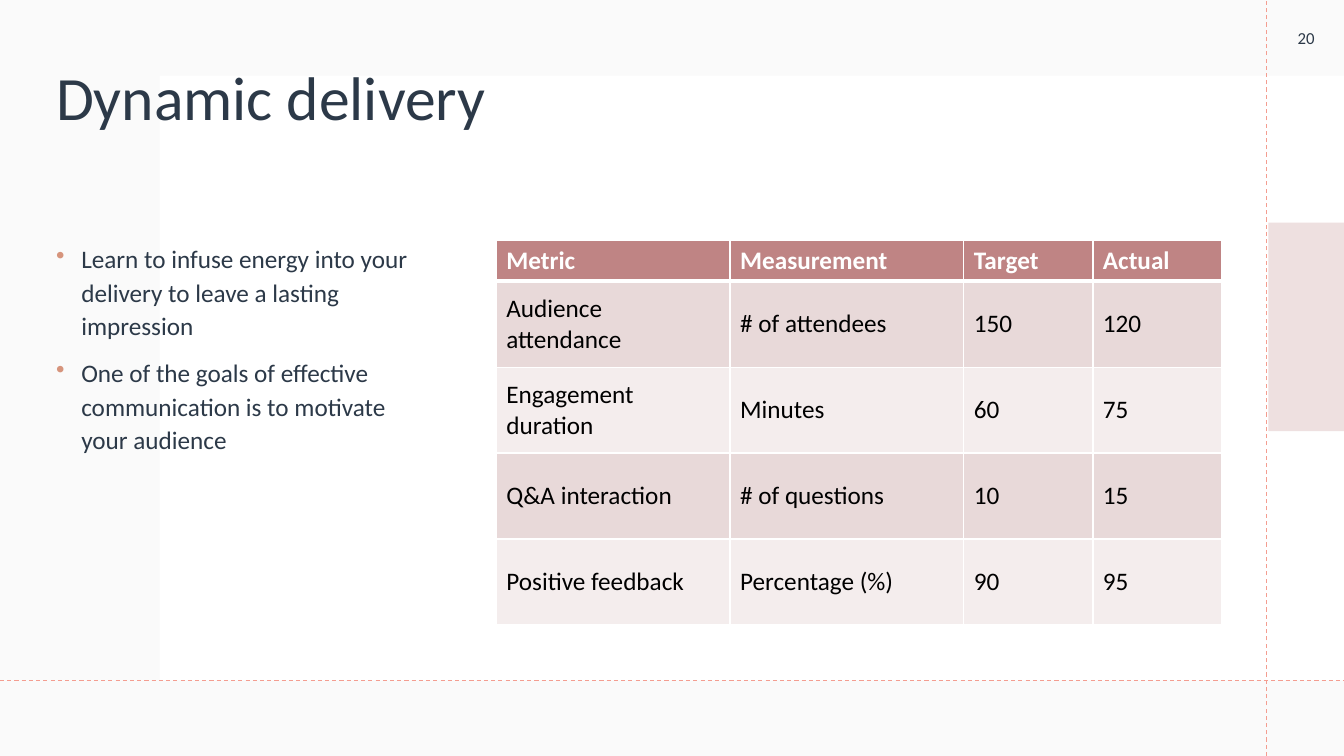
from lxml.etree import SubElement
from pptx import Presentation
from pptx.dml.color import RGBColor
from pptx.enum.dml import MSO_LINE
from pptx.enum.shapes import MSO_CONNECTOR, MSO_SHAPE
from pptx.enum.text import MSO_ANCHOR, PP_ALIGN
from pptx.oxml import parse_xml
from pptx.oxml.ns import nsdecls, qn
from pptx.util import Pt

COLORS = {
    "paper": "FFFFFF", "backdrop": "F4F4F4", "guide": "F49D90",
    "rose": "BF8484", "band_dark": "E8D9D9", "band_light": "F4EDED",
    "ink": "2C3948", "bullet": "D6947C", "black": "000000",
}


def color(name):
    return RGBColor.from_string(COLORS[name])


def write(frame, text, size=18, ink="ink", bold=False, align=PP_ALIGN.LEFT,
          anchor=MSO_ANCHOR.MIDDLE, spacing=None, before=0, bullet=False):
    """Fill a text frame, one paragraph for each line of text."""
    frame.word_wrap = True
    frame.vertical_anchor = anchor
    for index, line in enumerate(text.split("\n")):
        para = frame.paragraphs[0] if index == 0 else frame.add_paragraph()
        para.alignment = align
        para.space_before = Pt(before)
        if spacing:
            para.line_spacing = spacing
        if bullet:
            properties = para._p.get_or_add_pPr()
            properties.set("marL", str(Pt(18)))
            properties.set("indent", str(Pt(-18)))
            tint = SubElement(properties, qn("a:buClr"))
            SubElement(tint, qn("a:srgbClr"), val=COLORS["bullet"])
            SubElement(properties, qn("a:buChar"), char="•")
        span = para.add_run()
        span.text = line
        span.font.name = "Calibri"
        span.font.size = Pt(size)
        span.font.bold = bold
        span.font.color.rgb = color(ink)


deck = Presentation()
deck.slide_width, deck.slide_height = Pt(960), Pt(540)
page = deck.slides.add_slide(deck.slide_layouts[6])
shapes = page.shapes
page.background.fill.solid()
page.background.fill.fore_color.rgb = color("paper")

# Background panels: left, top, width, height, colour, opacity in percent
panels = [
    (0, 0, 960, 540, "backdrop", 45),
    (114, 54, 846, 432, "paper", 100),
    (906, 159, 54, 149, "rose", 25),
]
for left, top, width, height, fill, opacity in panels:
    panel = shapes.add_shape(MSO_SHAPE.RECTANGLE, Pt(left), Pt(top), Pt(width), Pt(height))
    panel.shadow.inherit = False
    panel.line.fill.background()
    panel.fill.solid()
    panel.fill.fore_color.rgb = color(fill)
    if opacity < 100:
        shade = panel._element.spPr.find(qn("a:solidFill")).find(qn("a:srgbClr"))
        SubElement(shade, qn("a:alpha"), val=str(opacity * 1000))

# Dashed guides
for ends in [(905, 540, 905, 0), (0, 486, 960, 486)]:
    guide = shapes.add_connector(MSO_CONNECTOR.STRAIGHT, *[Pt(value) for value in ends])
    guide.line.color.rgb = color("guide")
    guide.line.width = Pt(0.75)
    guide.line.dash_style = MSO_LINE.DASH
    SubElement(guide._element.spPr, qn("a:effectLst"))

# Title
title = shapes.add_textbox(Pt(33), Pt(29), Pt(871), Pt(104))
write(title.text_frame, "Dynamic delivery", size=44, spacing=Pt(28), before=10)

# Bullet list
body = shapes.add_textbox(Pt(33), Pt(172), Pt(281), Pt(277))
body.text_frame.margin_top = body.text_frame.margin_bottom = 0
write(body.text_frame,
      "Learn to infuse energy into your delivery to leave a lasting impression\n"
      "One of the goals of effective communication is to motivate your audience",
      anchor=MSO_ANCHOR.TOP, spacing=1.1, before=10, bullet=True)

# Metrics table
metrics = [
    ("Metric", "Measurement", "Target", "Actual"),
    ("Audience attendance", "# of attendees", "150", "120"),
    ("Engagement duration", "Minutes", "60", "75"),
    ("Q&A interaction", "# of questions", "10", "15"),
    ("Positive feedback", "Percentage (%)", "90", "95"),
]
column_widths = [167, 167, 92.2, 92.2]
row_heights = [28.1] + [61.4] * 4
table = shapes.add_table(len(metrics), len(column_widths), Pt(354.5), Pt(172),
                         Pt(sum(column_widths)), Pt(sum(row_heights))).table
for column, width in zip(table.columns, column_widths):
    column.width = Pt(width)
for row, height in zip(table.rows, row_heights):
    row.height = Pt(height)

for row_index, entries in enumerate(metrics):
    header = row_index == 0
    band = "rose" if header else "band_dark" if row_index % 2 else "band_light"
    # The rule below the header is thicker than the others
    borders = {"lnL": 1, "lnR": 1, "lnT": 3 if row_index == 1 else 1, "lnB": 3 if header else 1}
    for column_index, entry in enumerate(entries):
        cell = table.cell(row_index, column_index)
        write(cell.text_frame, entry, ink="paper" if header else "black", bold=header)
        cell.vertical_anchor = MSO_ANCHOR.MIDDLE
        cell.fill.solid()
        cell.fill.fore_color.rgb = color(band)
        for position, (side, weight) in enumerate(borders.items()):
            border = parse_xml(
                f'<a:{side} {nsdecls("a")} w="{Pt(weight)}"><a:solidFill>'
                f'<a:srgbClr val="{COLORS["paper"]}"/></a:solidFill></a:{side}>')
            cell._tc.get_or_add_tcPr().insert(position, border)

# Page number
number = shapes.add_textbox(Pt(906), Pt(0), Pt(54), Pt(54))
write(number.text_frame, "20", size=12, align=PP_ALIGN.CENTER)

deck.save("out.pptx")
